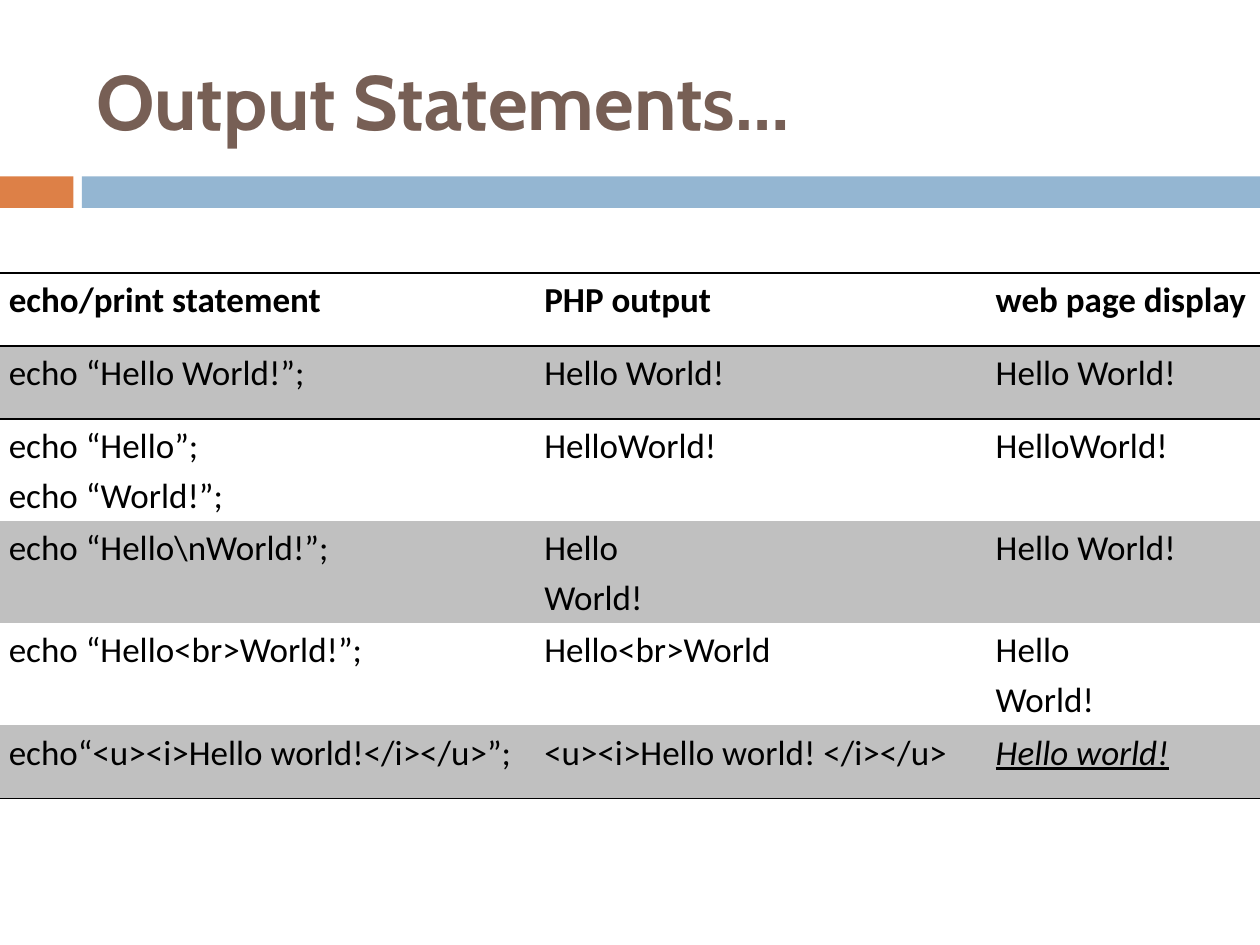
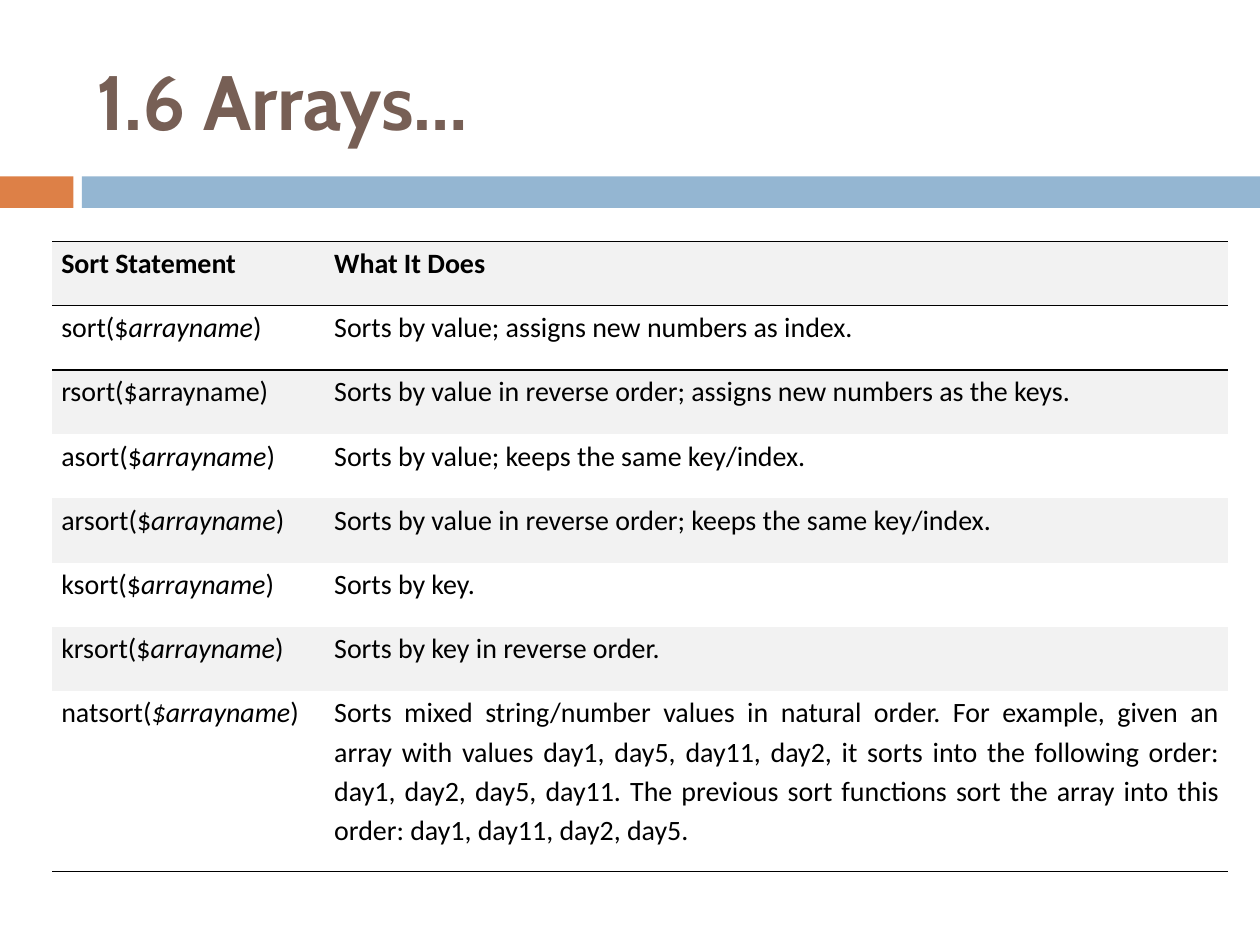
from dataclasses import dataclass, field
from typing import Any, Optional, Union

from lxml import etree
from pptx import Presentation
from pptx.dml.color import RGBColor
from pptx.enum.shapes import MSO_SHAPE
from pptx.enum.text import MSO_ANCHOR, PP_ALIGN
from pptx.oxml.ns import qn
from pptx.util import Emu, Pt

RECT = MSO_SHAPE.RECTANGLE
MIDDLE = MSO_ANCHOR.MIDDLE
LEFT, JUSTIFY = PP_ALIGN.LEFT, PP_ALIGN.JUSTIFY

EMU_PER_PX = 3048
WIDTH, HEIGHT = 3000, 2250
BLANK_LAYOUT = 6
NO_STYLE = "{2D5ABB26-0587-4C30-8999-92F81FD0307C}"
BLACK, WHITE, SILVER, PALE = "000000", "FFFFFF", "C0C0C0", "F2F2F2"
TITLE_COLOR, ORANGE, BLUE = "775F55", "DD8047", "94B6D2"
TITLE_FONT = {"name": "Cabin", "size": Pt(44), "bold": True}
CELL_INSETS = {"margin_left": 21, "margin_right": 21, "margin_top": 0, "margin_bottom": 0}


@dataclass(frozen=True)
class Box:
    left: int
    top: int
    width: int
    height: int


@dataclass(frozen=True)
class Band:
    box: Box
    color: str


@dataclass(frozen=True)
class Run:
    text: str
    fmt: dict[str, Any] = field(default_factory=dict)


Cell = Union[str, tuple[Run, ...]]


@dataclass(frozen=True)
class TableSpec:
    left: int
    top: int
    cols: list[int]
    heights: list[int]
    rows: list[tuple[Cell, ...]]
    fills: tuple[Optional[str], str]
    size: int
    align: Any


BANDS = [
    Band(Box(0, 420, 175, 75), ORANGE),
    Band(Box(195, 420, 2805, 75), BLUE),
]
TITLE_BOX = Box(200, 75, 2675, 325)


def px(value: int) -> Emu:
    return Emu(value * EMU_PER_PX)


def place(box: Box) -> tuple[Emu, ...]:
    return px(box.left), px(box.top), px(box.width), px(box.height)


def rgb(color: str) -> RGBColor:
    return RGBColor.from_string(color)


def apply(target: Any, values: dict[str, Any]) -> None:
    for name, value in values.items():
        setattr(target, name, value)


def add_run(p: Any, run: Run, font: dict[str, Any], color: str) -> None:
    r = p.add_run()
    r.text = run.text
    apply(r.font, {**font, **run.fmt})
    r.font.color.rgb = rgb(color)


def add_band(s: Any, band: Band) -> None:
    sp = s.shapes.add_shape(RECT, *place(band.box))
    sp.shadow.inherit = False
    sp.fill.solid()
    sp.fill.fore_color.rgb = rgb(band.color)
    sp.line.fill.background()


def add_title(s: Any, text: str) -> None:
    tf = s.shapes.add_textbox(*place(TITLE_BOX)).text_frame
    apply(tf, {"word_wrap": True, "vertical_anchor": MIDDLE})
    add_run(tf.paragraphs[0], Run(text), TITLE_FONT, TITLE_COLOR)


def add_border(cell: Any, side: str) -> None:
    ln = etree.SubElement(cell._tc.get_or_add_tcPr(), qn(f"a:{side}"), w=str(Pt(1)))
    fill = etree.SubElement(ln, qn("a:solidFill"))
    etree.SubElement(fill, qn("a:srgbClr"), val=BLACK)


def fill_cell(cell: Any, color: Optional[str]) -> None:
    if color is None:
        cell.fill.background()
    else:
        cell.fill.solid()
        cell.fill.fore_color.rgb = rgb(color)


def write_cell(cell: Any, content: Cell, spec: TableSpec, bold: bool) -> None:
    apply(cell, {name: px(value) for name, value in CELL_INSETS.items()})
    lines = [(Run(t),) for t in content.split("\n")] if isinstance(content, str) else [content]
    font = {"name": "Calibri", "size": Pt(spec.size), "bold": bold}
    tf = cell.text_frame
    for i, runs in enumerate(lines):
        p = tf.add_paragraph() if i else tf.paragraphs[0]
        apply(p, {"alignment": spec.align, "line_spacing": 1.15})
        for run in runs:
            add_run(p, run, font, BLACK)


def add_grid(s: Any, spec: TableSpec) -> None:
    box = Box(spec.left, spec.top, sum(spec.cols), sum(spec.heights))
    table = s.shapes.add_table(len(spec.rows), len(spec.cols), *place(box)).table
    apply(table, {"first_row": False, "horz_banding": False})
    table._tbl.tblPr.find(qn("a:tableStyleId")).text = NO_STYLE
    for column, width in zip(table.columns, spec.cols):
        column.width = px(width)
    last = len(spec.rows) - 1
    for i, (height, row) in enumerate(zip(spec.heights, spec.rows)):
        table.rows[i].height = px(height)
        for j, content in enumerate(row):
            cell = table.cell(i, j)
            if i in (0, 1):
                add_border(cell, "lnT")
            if i in (0, last):
                add_border(cell, "lnB")
            fill_cell(cell, spec.fills[i % 2])
            write_cell(cell, content, spec, bold=i == 0)


def sort_call(before: str, argument: str = "arrayname") -> tuple[Run, ...]:
    return Run(before), Run(argument, {"italic": True}), Run(")")


OUTPUT_TABLE = TableSpec(
    left=0,
    top=650,
    cols=[1275, 1075, 650],
    heights=[174, 174, 243, 243, 243, 174],
    rows=[
        ("echo/print statement", "PHP output", "web page display"),
        ("echo “Hello World!”;", "Hello World!", "Hello World!"),
        ("echo “Hello”;\necho “World!”;", "HelloWorld!", "HelloWorld!"),
        (r"echo “Hello\nWorld!”;", "Hello\nWorld!", "Hello World!"),
        ("echo “Hello<br>World!”;", "Hello<br>World", "Hello\nWorld!"),
        (
            "echo“<u><i>Hello world!</i></u>”;",
            "<u><i>Hello world! </i></u>",
            (Run("Hello world!", {"italic": True, "underline": True}),),
        ),
    ],
    fills=(None, SILVER),
    size=20,
    align=LEFT,
)

SORT_TABLE = TableSpec(
    left=125,
    top=575,
    cols=[650, 2150],
    heights=[153] * 7 + [429],
    rows=[
        ("Sort Statement", "What It Does"),
        (sort_call("sort($"), "Sorts by value; assigns new numbers as index."),
        ("rsort($arrayname)", "Sorts by value in reverse order; assigns new numbers as the keys."),
        (sort_call("asort($"), "Sorts by value; keeps the same key/index."),
        (sort_call("arsort($"), "Sorts by value in reverse order; keeps the same key/index."),
        (sort_call("ksort($"), "Sorts by key."),
        (sort_call("krsort($"), "Sorts by key in reverse order."),
        (
            sort_call("natsort(", "$arrayname"),
            "Sorts mixed string/number values in natural order. For example, given an array "
            "with values day1, day5, day11, day2, it sorts into the following order: day1, "
            "day2, day5, day11. The previous sort functions sort the array into this order: "
            "day1, day11, day2, day5.",
        ),
    ],
    fills=(PALE, WHITE),
    size=16,
    align=JUSTIFY,
)

SLIDES = [("Output Statements…", OUTPUT_TABLE), ("1.6 Arrays…", SORT_TABLE)]


def main() -> None:
    prs = Presentation()
    apply(prs, {"slide_width": px(WIDTH), "slide_height": px(HEIGHT)})
    for title, spec in SLIDES:
        s = prs.slides.add_slide(prs.slide_layouts[BLANK_LAYOUT])
        for band in BANDS:
            add_band(s, band)
        add_title(s, title)
        add_grid(s, spec)
    prs.save("out.pptx")


if __name__ == "__main__":
    main()
